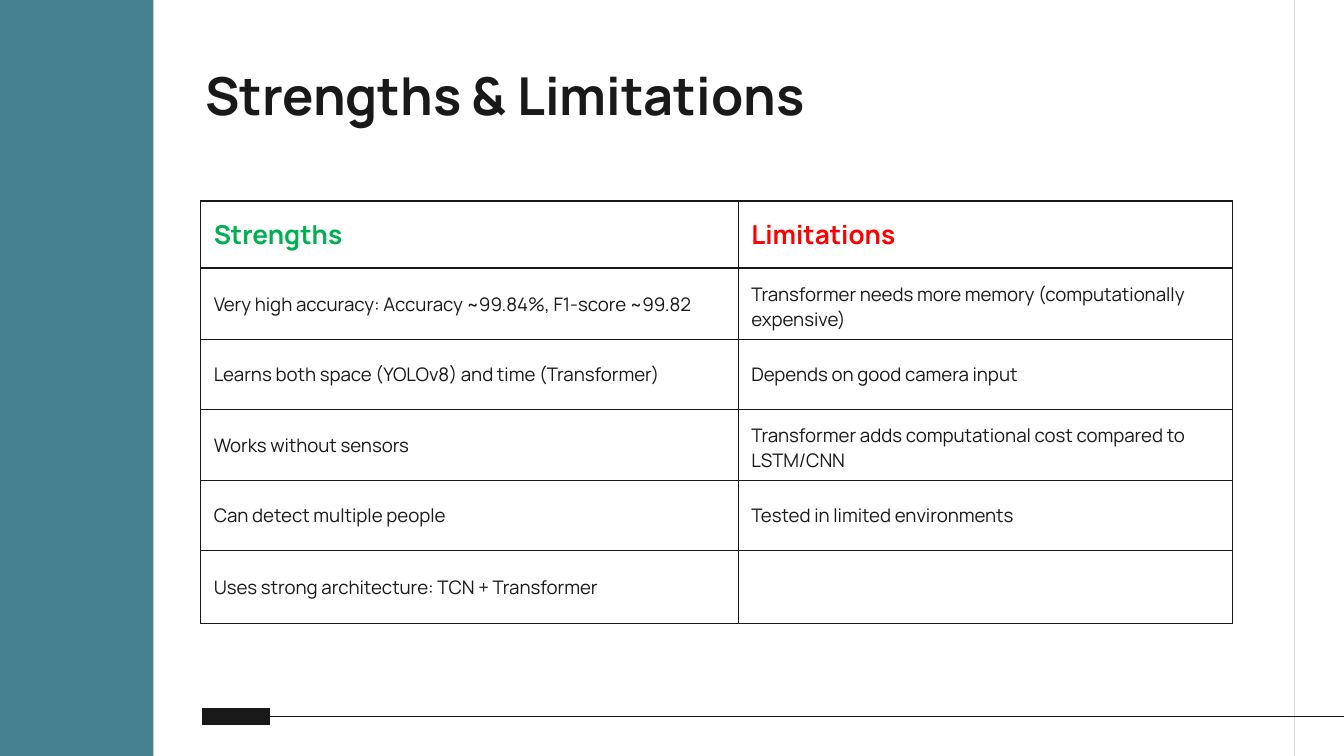
from lxml import etree
from pptx import Presentation
from pptx import util as u
from pptx.dml.color import RGBColor
from pptx.enum import shapes, text
from pptx.oxml.ns import qn

FONT = "Manrope"
INK = "191919"
TEAL = "45818E"
GREY = "D9D9D9"
GREEN = "00B050"
RED = "FF0000"

COLUMN_WIDTHS = [10.16, 9.35]
ROW_HEIGHTS = [1.27, 1.35, 1.32, 1.32, 1.32, 1.37]
HEADINGS = [("Strengths", GREEN), ("Limitations", RED)]
ROWS = [
    ("Very high accuracy: Accuracy ~99.84%, F1-score ~99.82",
     "Transformer needs more memory (computationally expensive)"),
    ("Learns both space (YOLOv8) and time (Transformer)",
     "Depends on good camera input"),
    ("Works without sensors",
     "Transformer adds computational cost compared to LSTM/CNN"),
    ("Can detect multiple people", "Tested in limited environments"),
    ("Uses strong architecture: TCN + Transformer", ""),
]


def color(hex_string):
    return RGBColor.from_string(hex_string)


def add_run(paragraph, content, size, hex_color, bold=False):
    run = paragraph.add_run()
    run.text = content
    run.font.name = FONT
    run.font.size = u.Pt(size)
    run.font.bold = bold
    run.font.color.rgb = color(hex_color)


def add_band(slide, left, top, width, height, hex_color):
    shape = slide.shapes.add_shape(
        shapes.MSO_SHAPE.RECTANGLE, u.Cm(left), u.Cm(top), u.Cm(width), u.Cm(height))
    shape.shadow.inherit = False
    shape.fill.solid()
    shape.fill.fore_color.rgb = color(hex_color)
    shape.line.fill.background()


def add_line(slide, start, end, hex_color, weight):
    line = slide.shapes.add_connector(
        shapes.MSO_CONNECTOR.STRAIGHT, *(u.Cm(value) for value in (*start, *end)))
    line.line.color.rgb = color(hex_color)
    line.line.width = u.Pt(weight)
    etree.SubElement(line._element.spPr, qn("a:effectLst"))


def add_title(slide, content):
    box = slide.shapes.add_textbox(u.Cm(3.63), u.Cm(0.89), u.Cm(15.24), u.Cm(1.75))
    frame = box.text_frame
    frame.word_wrap = True
    frame.vertical_anchor = text.MSO_ANCHOR.BOTTOM
    frame.margin_left = frame.margin_right = u.Cm(0.25)
    frame.margin_top = frame.margin_bottom = u.Cm(0.25)
    add_run(frame.paragraphs[0], content, 28, INK, bold=True)


def set_borders(cell, weights):
    properties = cell._tc.get_or_add_tcPr()
    for side, weight in weights.items():
        border = etree.SubElement(properties, qn(f"a:ln{side}"), w=str(u.Pt(weight)))
        fill = etree.SubElement(border, qn("a:solidFill"))
        etree.SubElement(fill, qn("a:srgbClr"), val=INK)


def fill_cell(cell, content, size, hex_color, bold, weights):
    cell.margin_left = cell.margin_right = u.Cm(0.25)
    cell.margin_top = cell.margin_bottom = u.Cm(0.25)
    cell.vertical_anchor = text.MSO_ANCHOR.MIDDLE
    set_borders(cell, weights)
    cell.fill.background()
    if content:
        add_run(cell.text_frame.paragraphs[0], content, size, hex_color, bold)


def add_comparison_table(slide):
    table = slide.shapes.add_table(
        len(ROW_HEIGHTS), len(COLUMN_WIDTHS), u.Cm(3.79), u.Cm(3.8),
        u.Cm(sum(COLUMN_WIDTHS)), u.Cm(sum(ROW_HEIGHTS))).table
    table.first_row = table.horz_banding = False
    for column, width in zip(table.columns, COLUMN_WIDTHS):
        column.width = u.Cm(width)
    for row, height in zip(table.rows, ROW_HEIGHTS):
        row.height = u.Cm(height)

    # Header row, with a slightly heavier rule below it
    thin = dict.fromkeys("LRTB", 0.75)
    for index, (heading, hex_color) in enumerate(HEADINGS):
        fill_cell(table.cell(0, index), heading, 14, hex_color, True, {**thin, "B": 1})

    # Body rows
    for row_index, row in enumerate(ROWS, start=1):
        weights = {**thin, "T": 1} if row_index == 1 else thin
        for index, content in enumerate(row):
            fill_cell(table.cell(row_index, index), content, 10, INK, False, weights)


def main():
    presentation = Presentation()
    presentation.slide_width = u.Cm(25.4)
    presentation.slide_height = u.Cm(14.29)
    slide = presentation.slides.add_slide(presentation.slide_layouts[6])

    # Side band and right margin line
    add_band(slide, 0, 0, 2.9, 14.29, TEAL)
    add_line(slide, (24.46, -0.1), (24.46, 14.38), GREY, 0.75)

    # Title
    add_title(slide, "Strengths & Limitations")

    # Footer rule with a thick start
    add_line(slide, (3.82, 13.54), (5.11, 13.54), INK, 9)
    add_line(slide, (5.11, 13.54), (26.52, 13.54), INK, 0.75)

    # Comparison table
    add_comparison_table(slide)

    presentation.save("out.pptx")


if __name__ == "__main__":
    main()
